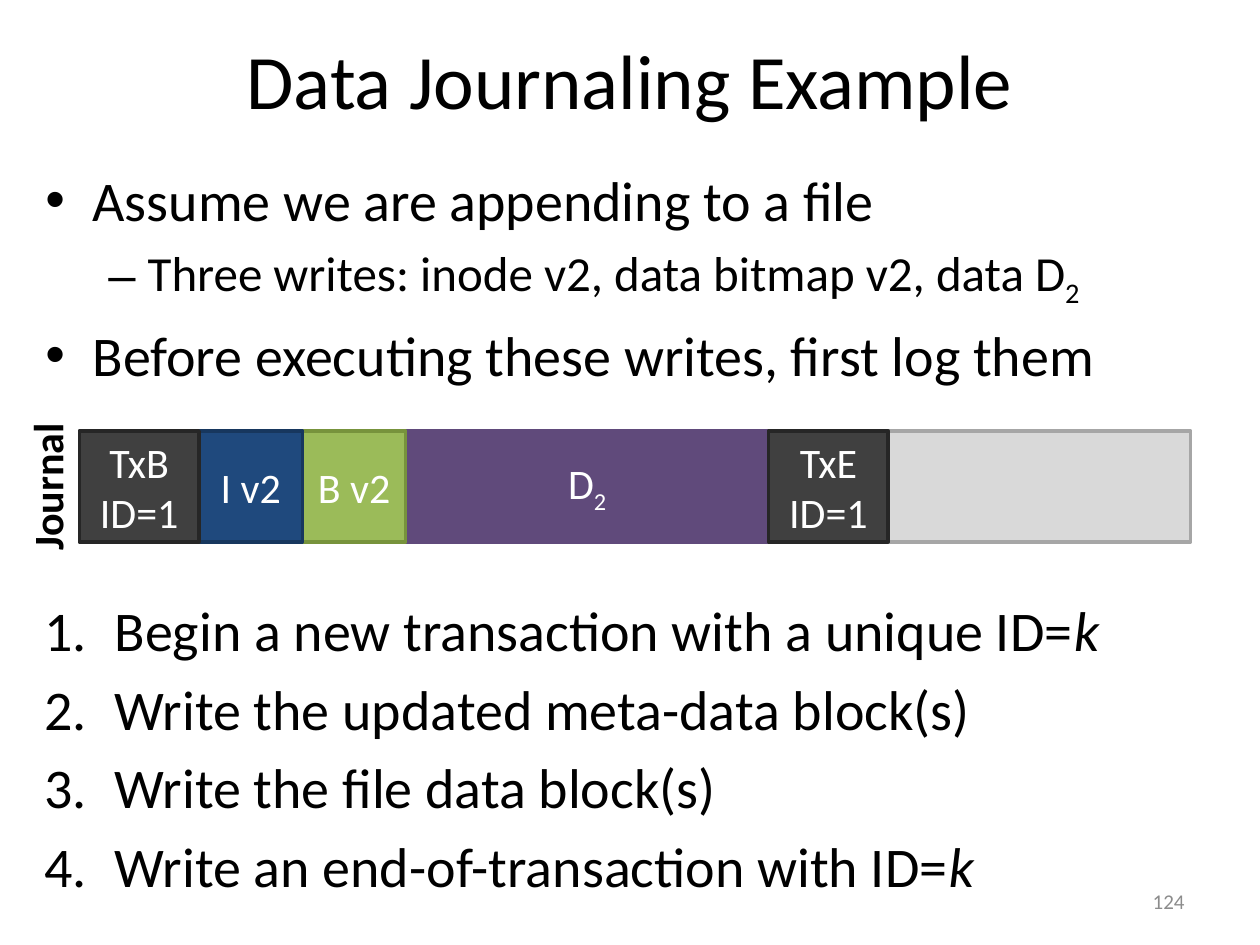
from itertools import accumulate

from lxml.etree import SubElement
from pptx import Presentation
from pptx.dml.color import RGBColor
from pptx.enum.shapes import MSO_SHAPE
from pptx.enum.text import MSO_ANCHOR, MSO_AUTO_SIZE, PP_ALIGN
from pptx.oxml.ns import qn
from pptx.util import Emu, Pt

EMU_PER_PX = 9144  # 100 px to the inch
SUBSCRIPT = {"baseline": "-25000"}
ITALIC = {"i": "1"}


def px(length):
    return Emu(length * EMU_PER_PX)


def color(hex_string):
    return RGBColor.from_string(hex_string)


class SlideBuilder:
    font_name = "Calibri"
    text_color = "000000"

    def __init__(self, slide):
        self.slide = slide

    def fill_text(self, text_frame, paragraphs, size, hex_color=text_color, bold=None, **formats):
        """Fill a frame; each paragraph is a list of (text, run attributes) pairs."""
        for index, runs in enumerate(paragraphs):
            paragraph = text_frame.paragraphs[0] if index == 0 else text_frame.add_paragraph()
            for name, value in formats.items():
                setattr(paragraph, name, value)
            for text, attributes in runs:
                run = paragraph.add_run()
                run.text = text
                font = {"name": self.font_name, "size": Pt(size), "bold": bold}
                for name, value in font.items():
                    setattr(run.font, name, value)
                run.font.color.rgb = color(hex_color)
                properties = run._r.get_or_add_rPr()
                for name, value in attributes.items():
                    properties.set(name, value)

    def placeholder(self, index, box, paragraphs, size, **formats):
        shape = self.slide.placeholders[index]
        for name, value in zip(("left", "top", "width", "height"), box):
            setattr(shape, name, px(value))
        shape.text_frame.auto_size = MSO_AUTO_SIZE.NONE
        self.fill_text(shape.text_frame, paragraphs, size, **formats)
        return shape.text_frame

    def numbered_list(self, index, box, paragraphs, size, indent):
        text_frame = self.placeholder(index, box, paragraphs, size)
        for paragraph in text_frame.paragraphs:
            properties = paragraph._p.get_or_add_pPr()
            properties.set("marL", str(px(indent)))
            properties.set("indent", str(px(-indent)))
            SubElement(properties, qn("a:buFont"), typeface="+mj-lt")
            SubElement(properties, qn("a:buAutoNum"), type="arabicPeriod")

    def block(self, box, fill, line, paragraphs=()):
        shape = self.slide.shapes.add_shape(MSO_SHAPE.RECTANGLE, *map(px, box))
        shape.shadow.inherit = False
        shape.fill.solid()
        shape.fill.fore_color.rgb = color(fill)
        shape.line.color.rgb = color(line)
        shape.line.width = Pt(2)
        shape.text_frame.vertical_anchor = MSO_ANCHOR.MIDDLE
        self.fill_text(shape.text_frame, paragraphs, 24, "FFFFFF", alignment=PP_ALIGN.CENTER)

    def label(self, box, text, size, hex_color=text_color, bold=None,
              rotation=0, wrap=True, **formats):
        shape = self.slide.shapes.add_textbox(*map(px, box))
        shape.rotation = rotation
        shape.text_frame.word_wrap = wrap
        shape.text_frame.vertical_anchor = MSO_ANCHOR.MIDDLE
        self.fill_text(shape.text_frame, [[(text, {})]], size, hex_color, bold, **formats)


def add_journal(builder):
    left, top, width, height = 63, 342, 882, 88
    builder.block((left, top, width, height), "D9D9D9", "A6A6A6")
    builder.label((-24, 361, 122, 50), "Journal", 24, bold=True, rotation=270, wrap=False)

    entries = [
        (95, "404040", "262626", [[("TxB", {})], [("ID=1", {})]]),
        (82, "1F497D", "17375E", [[("I v2", {})]]),
        (82, "9BBB59", "77933C", [[("B v2", {})]]),
        (288, "604A7B", "604A7B", [[("D", {}), ("2", SUBSCRIPT)]]),
        (95, "404040", "262626", [[("TxE", {})], [("ID=1", {})]]),
    ]
    lefts = list(accumulate((entry[0] for entry in entries), initial=left))
    # The data block is drawn first so that its neighbours' borders stay on top.
    for index in (3, 2, 1, 0, 4):
        entry_width, fill, line, paragraphs = entries[index]
        builder.block((lefts[index], top, entry_width, height), fill, line, paragraphs)


def main():
    presentation = Presentation()
    presentation.slide_width, presentation.slide_height = px(1000), px(750)
    two_content_layout = presentation.slide_layouts[3]
    builder = SlideBuilder(presentation.slides.add_slide(two_content_layout))

    builder.placeholder(0, (50, 0, 900, 125), [[("Data Journaling Example", {})]], 44,
                        alignment=PP_ALIGN.CENTER)
    body = builder.placeholder(1, (26, 126, 949, 198), [
        [("Assume we are appending to a file", {})],
        [("Three writes: inode v2, data bitmap v2, data D", {}), ("2", SUBSCRIPT)],
        [("Before executing these writes, first log them", {})],
    ], 32)
    detail = body.paragraphs[1]
    detail.level = 1
    for run in detail.runs:
        run.font.size = Pt(28)

    add_journal(builder)
    builder.numbered_list(2, (25, 468, 949, 277), [
        [("Begin a new transaction with a unique ID=", {}), ("k", ITALIC)],
        [("Write the updated meta-data block(s)", {})],
        [("Write the file data block(s)", {})],
        [("Write an end-of-transaction with ID=", {}), ("k", ITALIC)],
    ], 32, indent=56)
    builder.label((717, 695, 233, 40), "124", 12, "8C8C8C", alignment=PP_ALIGN.RIGHT)
    presentation.save("out.pptx")


if __name__ == "__main__":
    main()
